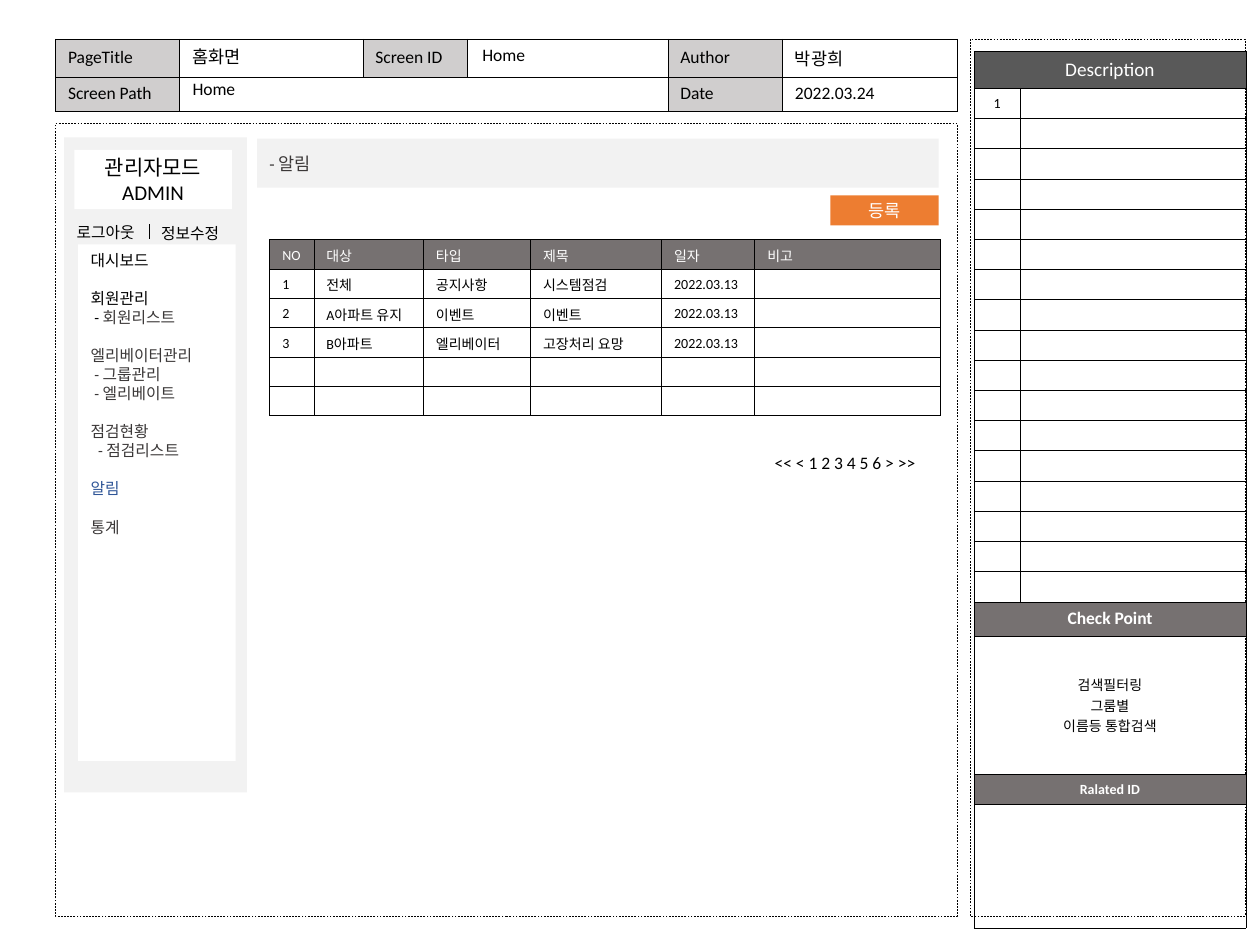
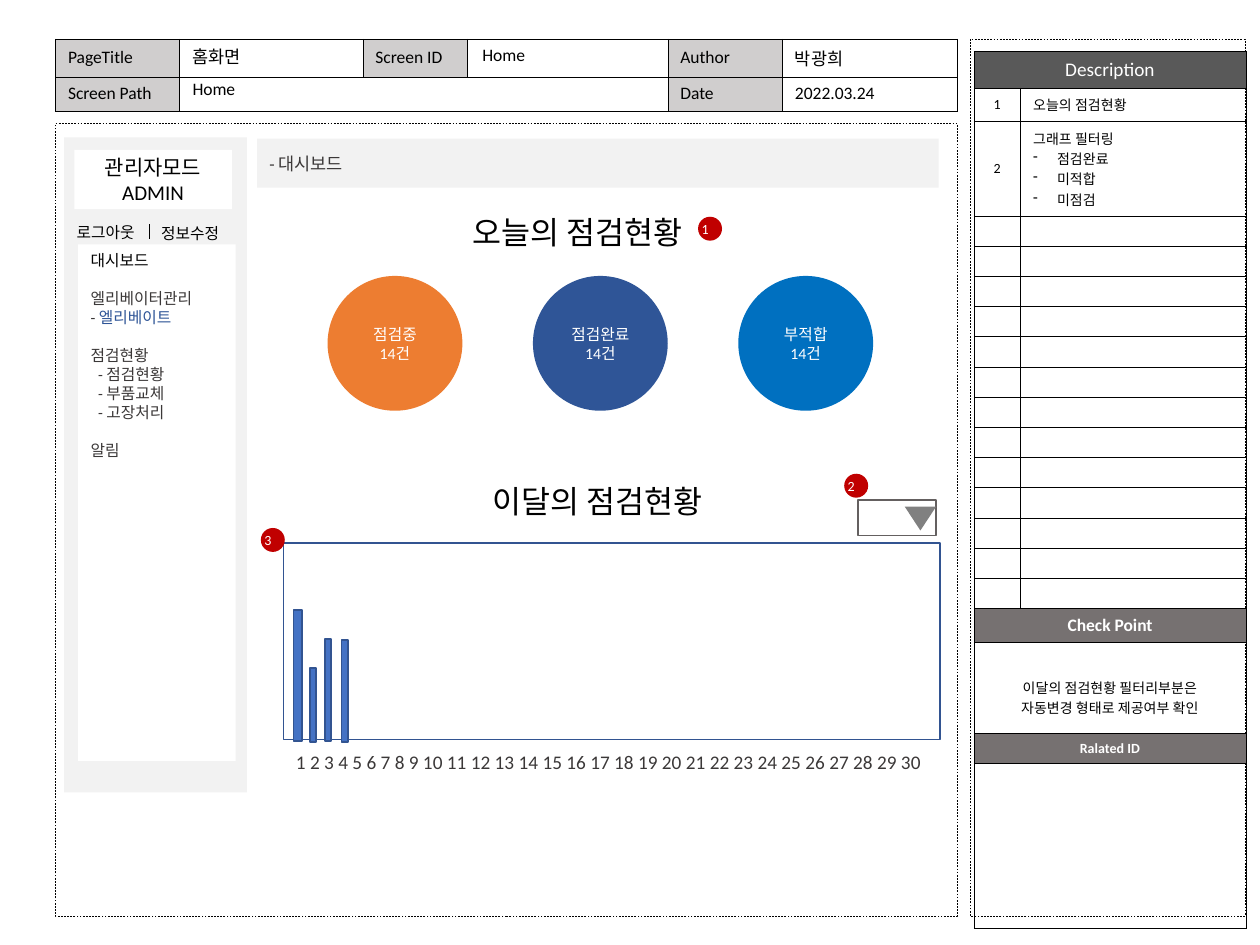
from dataclasses import dataclass, field

from lxml import etree
from pptx import Presentation
from pptx.dml.color import RGBColor
from pptx.enum.dml import MSO_LINE
from pptx.enum.shapes import MSO_CONNECTOR, MSO_SHAPE as Preset
from pptx.enum.text import MSO_ANCHOR as Anchor, MSO_AUTO_SIZE as AutoSize, PP_ALIGN as Align
from pptx.oxml.ns import qn
from pptx.util import Inches, Pt

FONT = "Calibri"
COLORS = {
    "black": "000000", "white": "FFFFFF", "text": "3B3838", "panel": "F2F2F2",
    "label": "D0CECE", "dark": "595959", "heading": "767171", "orange": "ED7D31",
    "navy": "2F5597", "blue": "0070C0", "bar": "4472C4", "bar_line": "325491",
    "badge": "C00000", "control": "646060", "arrow": "808080",
}
MENU_GAP = 11
ROW = 0.24


@dataclass
class Line:
    """One paragraph; runs are (text, color) pairs."""
    runs: list
    indent: float = 0
    gap: float = 0
    bullet: bool = False


@dataclass
class Cell:
    lines: list = field(default_factory=list)
    fill: str = ""
    color: str = "black"
    size: float = 8
    bold: bool = False
    align: Align = Align.LEFT
    span: int = 1
    top: float = 0.05
    bottom: float = 0.05


def rgb(name):
    return RGBColor.from_string(COLORS[name])


def menu_group(*items):
    """Lines of one menu section, set apart from the section above."""
    items[0].gap = MENU_GAP
    return list(items)


def item(text, color="text", indent=0, dash=""):
    runs = [("- ", dash)] if dash else []
    return Line(runs + [(text, color)], indent)


class Wireframe:
    def __init__(self):
        self.presentation = Presentation()
        self.presentation.slide_width = Inches(10)
        self.presentation.slide_height = Inches(7.5)
        self.slide = None

    def new_slide(self):
        self.slide = self.presentation.slides.add_slide(self.presentation.slide_layouts[6])

    def fill_text(self, frame, lines, size, color="black", align=Align.LEFT, bold=False):
        for index, line in enumerate(lines):
            if isinstance(line, str):
                line = Line([(line, color)])
            paragraph = frame.paragraphs[0] if index == 0 else frame.add_paragraph()
            paragraph.alignment = align
            if line.gap:
                paragraph.space_before = Pt(line.gap)
            properties = paragraph._p.get_or_add_pPr()
            if line.indent:
                properties.set("marL", str(Inches(line.indent)))
            if line.bullet:
                properties.set("indent", str(-Inches(line.indent)))
                etree.SubElement(properties, qn("a:buChar")).set("char", "-")
            for text, run_color in line.runs:
                run = paragraph.add_run()
                run.text = text
                run.font.name = FONT
                run.font.size = Pt(size)
                run.font.bold = bold
                run.font.color.rgb = rgb(run_color)

    def shape(self, box, preset=Preset.RECTANGLE, fill=None, line=None, weight=1, dashed=False):
        shape = self.slide.shapes.add_shape(preset, *map(Inches, box))
        shape.shadow.inherit = False
        if fill:
            shape.fill.solid()
            shape.fill.fore_color.rgb = rgb(fill)
        else:
            shape.fill.background()
        if line:
            shape.line.color.rgb = rgb(line)
            shape.line.width = Pt(weight)
            if dashed:
                shape.line.dash_style = MSO_LINE.DASH
        else:
            shape.line.fill.background()
        return shape

    def block(self, box, lines, size, fill, color="black", align=Align.CENTER,
              anchor=Anchor.MIDDLE, preset=Preset.RECTANGLE):
        """A filled shape with text in it."""
        shape = self.shape(box, preset, fill)
        shape.text_frame.word_wrap = True
        shape.text_frame.vertical_anchor = anchor
        self.fill_text(shape.text_frame, lines, size, color, align)
        return shape

    def text(self, box, text, size=10, color="black", wrap=False, grow=True):
        frame = self.slide.shapes.add_textbox(*map(Inches, box)).text_frame
        frame.word_wrap = wrap
        if grow:
            frame.auto_size = AutoSize.SHAPE_TO_FIT_TEXT
        else:
            frame.vertical_anchor = Anchor.MIDDLE
        self.fill_text(frame, [text], size, color)

    def badge(self, left, top, number):
        shape = self.block((left, top, 0.19, 0.19), [number], 8, "badge", "white",
                           Align.JUSTIFY, preset=Preset.OVAL)
        frame = shape.text_frame
        frame.margin_left = frame.margin_right = frame.margin_top = frame.margin_bottom = 0

    def vertical_line(self, x, top, bottom):
        line = self.slide.shapes.add_connector(
            MSO_CONNECTOR.STRAIGHT, *map(Inches, (x, top, x, bottom)))
        line.line.color.rgb = rgb("black")
        line.line.width = Pt(0.5)
        etree.SubElement(line._element.spPr, qn("a:effectLst"))

    def border(self, cell):
        properties = cell._tc.get_or_add_tcPr()
        for index, side in enumerate(("lnL", "lnR", "lnT", "lnB")):
            edge = etree.Element(qn(f"a:{side}"), w=str(Pt(0.25)))
            fill = etree.SubElement(edge, qn("a:solidFill"))
            etree.SubElement(fill, qn("a:srgbClr"), val=COLORS["black"])
            properties.insert(index, edge)

    def table(self, left, top, widths, heights, rows):
        frame = self.slide.shapes.add_table(
            len(heights), len(widths), Inches(left), Inches(top),
            Inches(sum(widths)), Inches(sum(heights)))
        table = frame.table
        table.first_row = table.horz_banding = False
        for column, width in zip(table.columns, widths):
            column.width = Inches(width)
        for row, height in zip(table.rows, heights):
            row.height = Inches(height)
        for row_index, row in enumerate(rows):
            column_index = 0
            for content in row:
                last = column_index + content.span - 1
                if content.span > 1:
                    table.cell(row_index, column_index).merge(table.cell(row_index, last))
                for index in range(column_index, last + 1):
                    self.style_cell(table.cell(row_index, index), content)
                self.fill_text(table.cell(row_index, column_index).text_frame, content.lines,
                               content.size, content.color, content.align, content.bold)
                column_index = last + 1

    def style_cell(self, cell, content):
        cell.vertical_anchor = Anchor.MIDDLE
        cell.margin_top = Inches(content.top)
        cell.margin_bottom = Inches(content.bottom)
        if content.fill:
            cell.fill.solid()
            cell.fill.fore_color.rgb = rgb(content.fill)
        else:
            cell.fill.background()
        self.border(cell)
        if not content.lines or cell.is_spanned:
            end = etree.SubElement(cell.text_frame.paragraphs[0]._p, qn("a:endParaRPr"))
            end.set("sz", str(int(content.size * 100)))
            etree.SubElement(end, qn("a:latin")).set("typeface", FONT)

    def page_header(self):
        def label(text):
            return Cell([text], "label", size=10)

        def value(*lines, span=1):
            return Cell(list(lines), size=10, span=span)

        self.table(0.44, 0.31, [0.98, 1.46, 0.83, 1.59, 0.91, 1.39], [0.3, 0.26], [
            [label("PageTitle"), value(), label("Screen ID"), value(),
             label("Author"), value("박광희")],
            [label("Screen Path"), value(span=3), label("Date"), value("2022.03.24")],
        ])
        for left, top, width in ((0.44, 0.98, 7.16), (7.7, 0.31, 2.18)):
            self.shape((left, top, width, 7.27 - top), line="black", weight=0.25, dashed=True)

    def description(self, entries, heights, check_lines, check_height, end_height, check_top=0.05):
        """The right-hand table; entries without lines stay as empty rows."""
        def heading(text, fill="heading", size=10, bold=True):
            return [Cell([text], fill, "white", size, bold, Align.CENTER, 2)]

        rows = [heading("Description", "dark", 11, False)]
        for number, lines in entries:
            rows.append([Cell([number] if number else [], align=Align.CENTER), Cell(lines)])
        rows += [heading("Check Point"),
                 [Cell(check_lines, align=Align.CENTER, span=2, top=check_top)],
                 heading("Ralated ID", size=8), [Cell(span=2)]]
        self.table(7.73, 0.41, [0.37, 1.79],
                   [0.29, *heights, 0.27, check_height, ROW, end_height], rows)

    def base(self, title, menu, **description):
        """Everything that both screens share."""
        self.new_slide()
        self.page_header()
        self.shape((0.51, 1.09, 1.45, 5.2), fill="panel")
        self.description(**description)
        self.text((1.43, 0.32, 1.45, 0.27), "홈화면", wrap=True)
        self.text((1.43, 0.57, 3.84, 0.27), "Home", wrap=True)
        self.text((3.73, 0.3, 1.45, 0.27), "Home", wrap=True)
        self.block((0.59, 1.19, 1.25, 0.47), ["관리자모드", "ADMIN"], 12, "white")
        self.text((0.51, 1.72, 0.71, 0.25), "로그아웃", 9)
        self.text((1.18, 1.73, 0.71, 0.25), "정보수정", 9)
        self.vertical_line(1.19, 1.78, 1.9)
        self.block((0.62, 1.94, 1.25, 4.1), menu, 9, "white",
                   align=Align.LEFT, anchor=Anchor.TOP)
        self.block((2.04, 1.1, 5.41, 0.39), [f"- {title}"], 10, "panel", "text", Align.LEFT)


def build_notice_screen(wireframe):
    menu = [
        "대시보드",
        *menu_group(item("회원관리", "black"), item("회원리스트", indent=0.03, dash="black")),
        *menu_group(item("엘리베이터관리"), item("그룹관리", indent=0.03, dash="text"),
                    item("엘리베이트", indent=0.03, dash="text")),
        *menu_group(item("점검현황"), item("점검리스트", indent=0.06, dash="text")),
        *menu_group(item("알림", "navy")),
        *menu_group(item("통계")),
    ]
    wireframe.base("알림", menu, entries=[("1", [])] + [("", [])] * 16, heights=[ROW] * 17,
                   check_lines=["검색필터링", "그룸별", "이름등 통합검색"],
                   check_height=1.1, end_height=0.98)
    notices = [
        ["NO", "대상", "타입", "제목", "일자", "비고"],
        ["1", "전체", "공지사항", "시스템점검", "2022.03.13", ""],
        ["2", "A아파트 유지", "이벤트", "이벤트", "2022.03.13", ""],
        ["3", "B아파트", "엘리베이터", "고장처리 요망", "2022.03.13", ""],
        [""] * 6,
        [""] * 6,
    ]
    rows = [[Cell([text] if text else [], "" if index else "heading",
                  "black" if index else "white", top=0.04, bottom=0.02) for text in notice]
            for index, notice in enumerate(notices)]
    wireframe.table(2.14, 1.9, [0.35, 0.87, 0.85, 1.04, 0.74, 1.47],
                    [1.4 / len(rows)] * len(rows), rows)
    wireframe.text((6.05, 3.54, 1.34, 0.27), "<< < 1 2 3 4 5 6 > >>")
    wireframe.block((6.59, 1.55, 0.86, 0.24), ["등록"], 10, "orange", "white")


def build_dashboard_screen(wireframe):
    menu = [
        "대시보드",
        *menu_group(item("엘리베이터관리"), item("엘리베이트", "navy", dash="text")),
        *menu_group(item("점검현황"), *(item(name, indent=0.06, dash="text")
                                    for name in ("점검현황", "부품교체", "고장처리"))),
        *menu_group(item("알림")),
    ]
    filters = [Line([(name, "black")], 0.19, bullet=True) for name in ("점검완료", "미적합", "미점검")]
    entries = [("1", ["오늘의 점검현황"]), ("2", ["그래프 필터링", *filters])] + [("", [])] * 13
    wireframe.base("대시보드", menu, entries=entries, heights=[0.26, 0.75] + [ROW] * 13,
                   check_lines=["이달의 점검현황 필터리부분은", "자동변경 형태로 제공여부 확인"],
                   check_height=0.72, end_height=1.31, check_top=0.2)

    wireframe.text((3.65, 1.64, 2.03, 0.4), "오늘의 점검현황", 18)
    statuses = (("점검중", "orange"), ("점검완료", "navy"), ("부적합", "blue"))
    for index, (status, color) in enumerate(statuses):
        wireframe.block((2.6 + 1.63 * index, 2.19, 1.07, 1.07), [status, "14건"], 9,
                        color, "white", preset=Preset.OVAL)

    wireframe.text((3.81, 3.78, 2.08, 0.4), "이달의 점검현황", 18)
    wireframe.shape((2.25, 4.31, 5.21, 1.56), line="bar_line")
    wireframe.text((2.25, 5.93, 5.21, 0.24), " ".join(map(str, range(1, 31))),
                   11, "text", wrap=True, grow=False)
    for bar in ((2.33, 4.84, 0.07, 1.04), (2.46, 5.3, 0.05, 0.59),
                (2.58, 5.07, 0.05, 0.81), (2.71, 5.08, 0.05, 0.81)):
        wireframe.shape(bar, fill="bar", line="bar_line")
    wireframe.shape((6.81, 3.97, 0.62, 0.28), line="control")
    wireframe.shape((7.18, 4.02, 0.25, 0.19), Preset.FLOWCHART_MERGE, "arrow")
    for number, (left, top) in enumerate(((5.54, 1.72), (6.7, 3.76), (2.07, 4.19)), 1):
        wireframe.badge(left, top, str(number))


def main():
    wireframe = Wireframe()
    build_notice_screen(wireframe)
    build_dashboard_screen(wireframe)
    wireframe.presentation.save("out.pptx")


if __name__ == "__main__":
    main()
